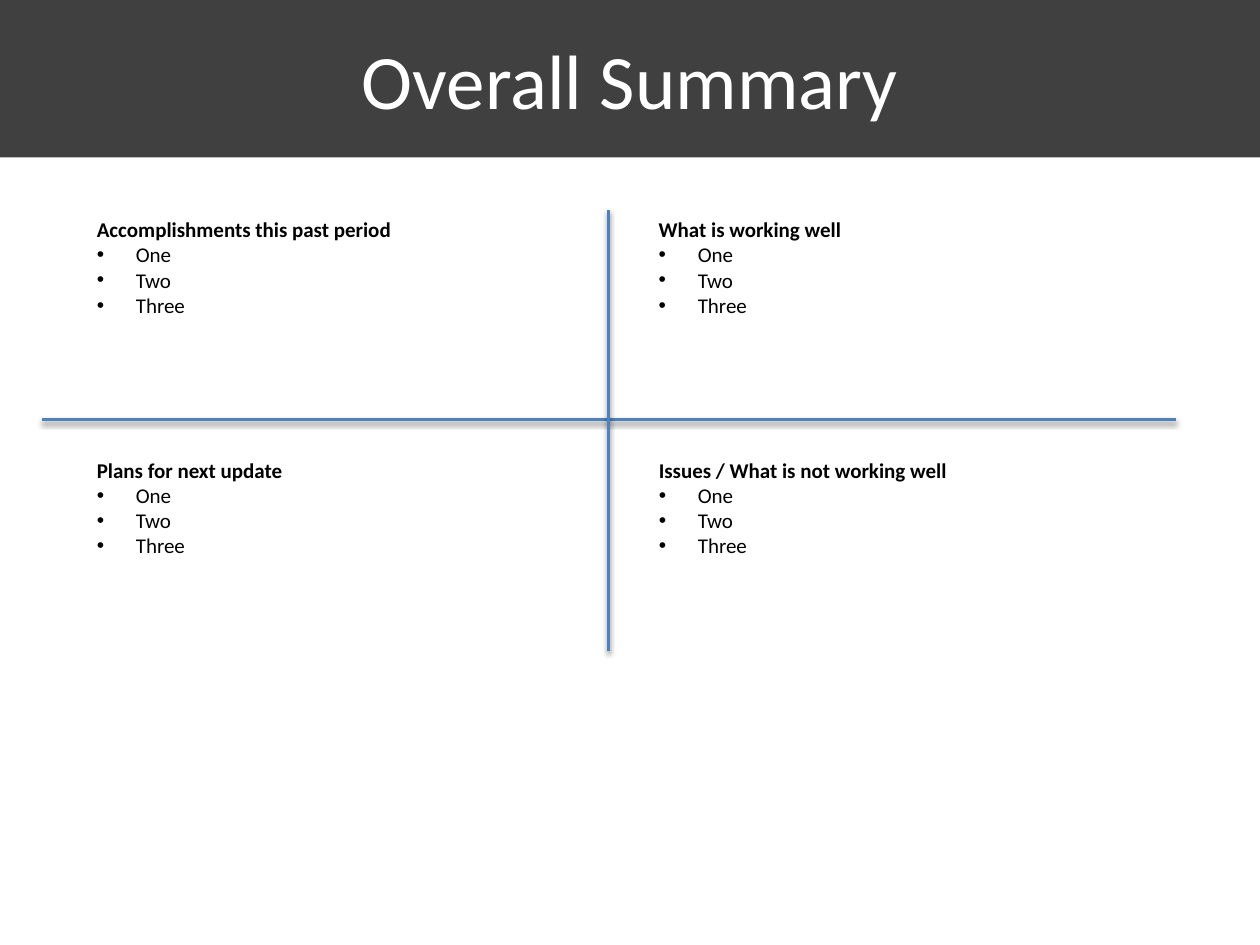
from dataclasses import dataclass

from lxml.etree import SubElement
from pptx import Presentation
from pptx.dml.color import RGBColor
from pptx.enum.shapes import MSO_CONNECTOR, MSO_SHAPE
from pptx.enum.text import MSO_ANCHOR, MSO_AUTO_SIZE, PP_ALIGN
from pptx.oxml.ns import qn
from pptx.slide import Slide
from pptx.util import Emu, Pt

EMU_PER_PX = 9144


@dataclass(frozen=True)
class Theme:
    font: str = "Calibri"
    banner: str = "404040"
    banner_text: str = "FFFFFF"
    text: str = "000000"
    rule: str = "4F81BD"
    shadow: str = "000000"
    title_size: int = 44
    body_size: int = 12
    rule_width: int = 2


@dataclass(frozen=True)
class Quadrant:
    heading: str
    column: int
    row: int
    width: int


@dataclass(frozen=True)
class Rule:
    start: tuple[int, int]
    end: tuple[int, int]


THEME = Theme()
PAGE_SIZE = (1000, 750)
BANNER_HEIGHT = 125
COLUMNS = (67, 513)
ROWS = (167, 358)
BOX_HEIGHT = 91
BULLET_INDENT = 31
ITEMS = ("One", "Two", "Three")
QUADRANTS = (
    Quadrant("What is working well", 1, 0, 167),
    Quadrant("Accomplishments this past period", 0, 0, 257),
    Quadrant("Plans for next update", 0, 1, 170),
    Quadrant("Issues / What is not working well", 1, 1, 252),
)
RULES = (Rule((33, 333), (933, 333)), Rule((483, 167), (483, 517)))


def px(length: int) -> Emu:
    return Emu(length * EMU_PER_PX)


def set_all(target: object, values: dict) -> None:
    for name, value in values.items():
        setattr(target, name, value)


def add_span(para, text: str, size: int, color: str, bold: bool = False) -> None:
    span = para.add_run()
    span.text = text
    set_all(span.font, {"name": THEME.font, "size": Pt(size), "bold": bold})
    span.font.color.rgb = RGBColor.from_string(color)


def add_bullet(para) -> None:
    properties = para._p.get_or_add_pPr()
    properties.set("marL", str(px(BULLET_INDENT)))
    properties.set("indent", str(px(-BULLET_INDENT)))
    SubElement(properties, qn("a:buFont"), typeface="Arial")
    SubElement(properties, qn("a:buChar"), char="•")


def draw_banner(page: Slide, title: str) -> None:
    box = page.shapes.add_shape(
        MSO_SHAPE.RECTANGLE, 0, 0, px(PAGE_SIZE[0]), px(BANNER_HEIGHT)
    )
    box.shadow.inherit = False
    box.fill.solid()
    box.fill.fore_color.rgb = RGBColor.from_string(THEME.banner)
    box.line.fill.background()
    box.text_frame.vertical_anchor = MSO_ANCHOR.MIDDLE
    para = box.text_frame.paragraphs[0]
    para.alignment = PP_ALIGN.CENTER
    add_span(para, title, THEME.title_size, THEME.banner_text)


def draw_quadrant(page: Slide, quadrant: Quadrant) -> None:
    box = page.shapes.add_textbox(
        px(COLUMNS[quadrant.column]),
        px(ROWS[quadrant.row]),
        px(quadrant.width),
        px(BOX_HEIGHT),
    )
    frame = box.text_frame
    set_all(frame, {"word_wrap": False, "auto_size": MSO_AUTO_SIZE.SHAPE_TO_FIT_TEXT})
    add_span(
        frame.paragraphs[0], quadrant.heading, THEME.body_size, THEME.text, bold=True
    )
    for item in ITEMS:
        para = frame.add_paragraph()
        add_bullet(para)
        add_span(para, item, THEME.body_size, THEME.text)


def draw_rule(page: Slide, rule: Rule) -> None:
    line = page.shapes.add_connector(
        MSO_CONNECTOR.STRAIGHT, *map(px, rule.start + rule.end)
    )
    line.line.width = Pt(THEME.rule_width)
    line.line.color.rgb = RGBColor.from_string(THEME.rule)
    effects = SubElement(line._element.spPr, qn("a:effectLst"))
    shadow_format = {
        "blurRad": str(Pt(3.1)),
        "dist": str(Pt(1.6)),
        "dir": "5400000",
        "rotWithShape": "0",
    }
    shadow = SubElement(effects, qn("a:outerShdw"), shadow_format)
    color = SubElement(shadow, qn("a:srgbClr"), val=THEME.shadow)
    SubElement(color, qn("a:alpha"), val="38000")


def main() -> None:
    deck = Presentation()
    set_all(
        deck, {"slide_width": px(PAGE_SIZE[0]), "slide_height": px(PAGE_SIZE[1])}
    )
    page = deck.slides.add_slide(deck.slide_layouts[6])
    draw_banner(page, "Overall Summary")
    for quadrant in QUADRANTS:
        draw_quadrant(page, quadrant)
    for rule in RULES:
        draw_rule(page, rule)
    deck.save("out.pptx")


if __name__ == "__main__":
    main()
